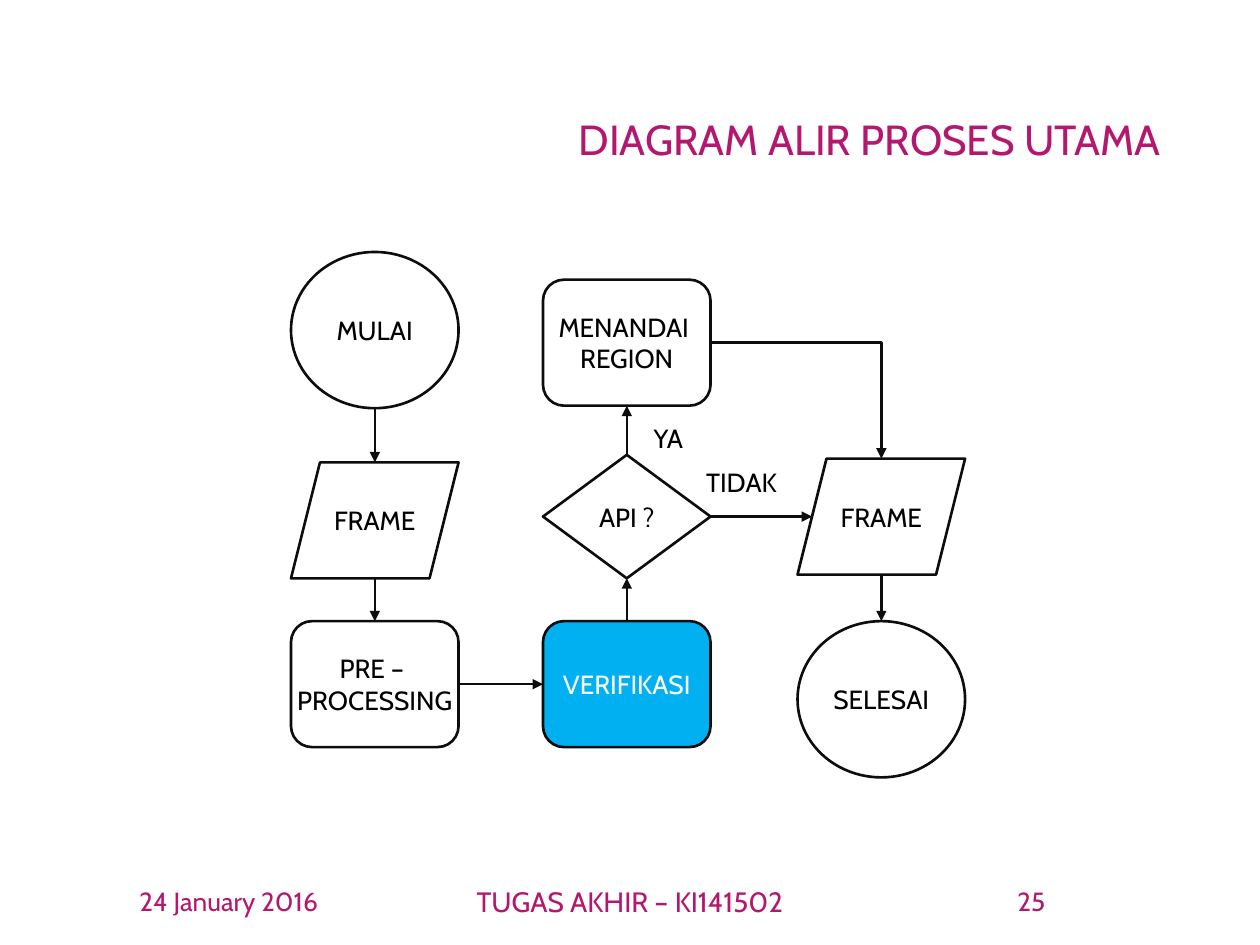
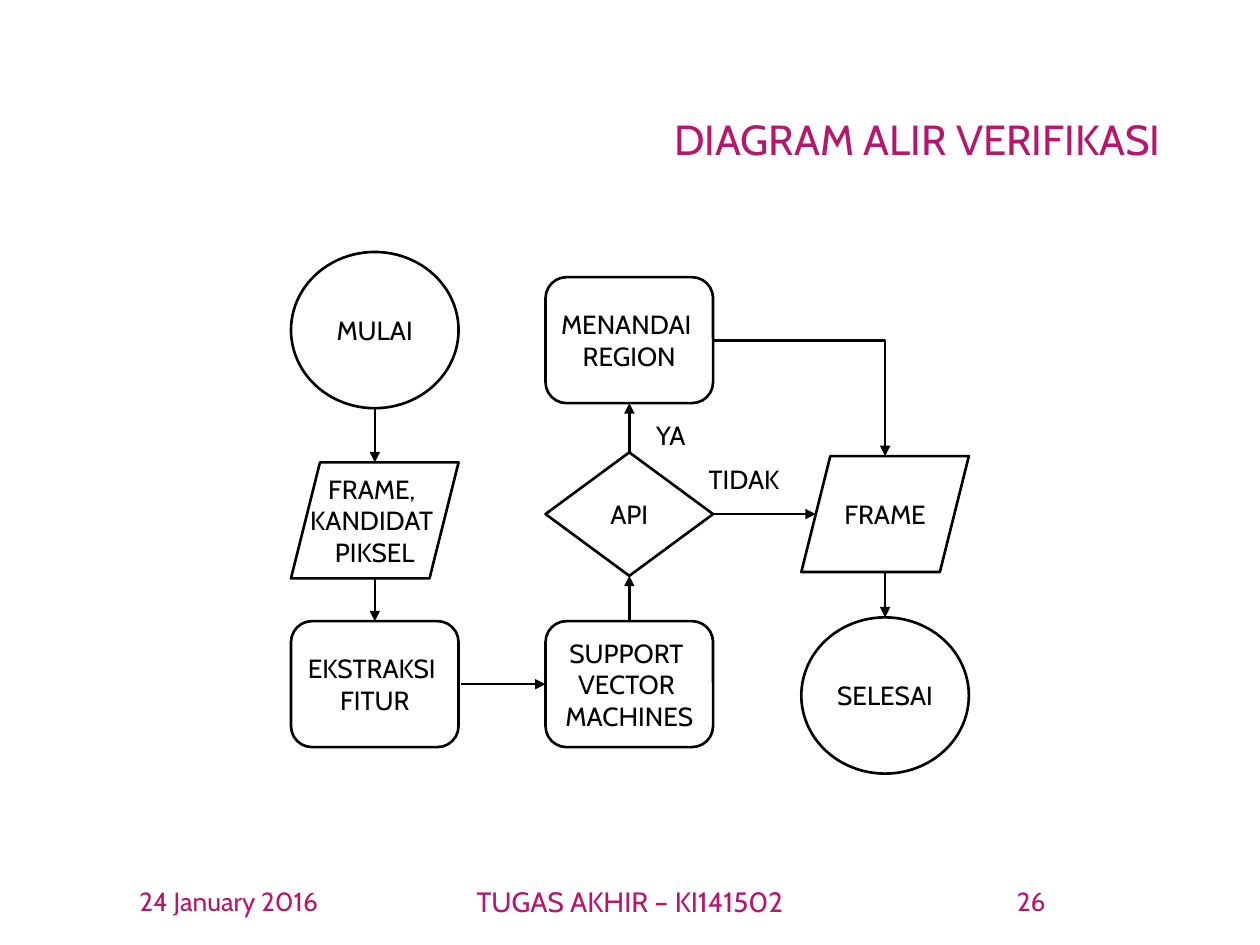
from lxml.etree import SubElement
from pptx import Presentation
from pptx.dml.color import RGBColor
from pptx.enum.shapes import MSO_CONNECTOR, MSO_SHAPE
from pptx.enum.text import MSO_ANCHOR, MSO_AUTO_SIZE, PP_ALIGN
from pptx.oxml.ns import qn
from pptx.util import Inches, Pt

FONT = "Cabin"
ACCENT = "B4186E"
BLACK = "000000"
WHITE = "FFFFFF"
HIGHLIGHT = "00B0F0"
NODE_WIDTH = 1.33
CIRCLE_HEIGHT = 1.24
DATA_HEIGHT = 0.92
BOX_HEIGHT = 1
DECISION_HEIGHT = 0.98
BOTTOM_ROW = 4.93


def color(hex_string):
    return RGBColor.from_string(hex_string)


class FlowDeck:
    """Draws titled flowchart slides in one shared style."""

    def __init__(self):
        self.presentation = Presentation()
        self.presentation.slide_width = Inches(10)
        self.presentation.slide_height = Inches(7.5)
        self.slide = None
        self.line_color = BLACK

    def add_slide(self, title, number, line_color):
        layout = self.presentation.slide_layouts[5]
        self.slide = self.presentation.slides.add_slide(layout)
        self.line_color = line_color
        placeholder = self.slide.shapes.title
        placeholder.left, placeholder.top = Inches(0.69), Inches(0.4)
        placeholder.width, placeholder.height = Inches(8.62), Inches(1.45)
        self.style_text(placeholder, title, 24, ACCENT, PP_ALIGN.RIGHT)
        placeholder.text_frame.paragraphs[0].line_spacing = 0.9
        for left, width, text, size in (
            (0.69, 2.25, "24 January 2016", 15),
            (3.31, 3.38, "TUGAS AKHIR – KI141502", 16),
            (7.06, 2.25, str(number), 15),
        ):
            self.text(left, 6.95, width, 0.4, text, size, ACCENT, MSO_ANCHOR.MIDDLE)

    def style_text(self, shape, text, size, text_color, alignment=PP_ALIGN.CENTER,
                   anchor=MSO_ANCHOR.MIDDLE, wrap=True):
        frame = shape.text_frame
        frame.text = text
        frame.word_wrap = wrap
        frame.auto_size = MSO_AUTO_SIZE.NONE
        frame.vertical_anchor = anchor
        for paragraph in frame.paragraphs:
            paragraph.alignment = alignment
            paragraph.font.name = FONT
            paragraph.font.size = Pt(size)
            paragraph.font.color.rgb = color(text_color)

    def text(self, left, top, width, height, text, size=15, text_color=BLACK,
             anchor=MSO_ANCHOR.TOP):
        box = self.slide.shapes.add_textbox(
            Inches(left), Inches(top), Inches(width), Inches(height))
        self.style_text(box, text, size, text_color, anchor=anchor)

    def node(self, kind, left, top, height, text, fill=None):
        shape = self.slide.shapes.add_shape(
            kind, Inches(left), Inches(top), Inches(NODE_WIDTH), Inches(height))
        shape.shadow.inherit = False
        if fill:
            shape.fill.solid()
            shape.fill.fore_color.rgb = color(fill)
        else:
            shape.fill.background()
        shape.line.color.rgb = color(self.line_color)
        shape.line.width = Pt(1.5)
        self.style_text(shape, text, 15, WHITE if fill else BLACK, wrap=False)

    def arrow(self, start_x, start_y, end_x, end_y, bent=False):
        kind = MSO_CONNECTOR.ELBOW if bent else MSO_CONNECTOR.STRAIGHT
        connector = self.slide.shapes.add_connector(
            kind, Inches(start_x), Inches(start_y), Inches(end_x), Inches(end_y))
        connector.line.color.rgb = color(self.line_color)
        connector.line.width = Pt(1.5)
        properties = connector._element.spPr
        if bent:
            properties.find(qn("a:prstGeom")).set("prst", "bentConnector2")
        SubElement(properties.find(qn("a:ln")), qn("a:tailEnd"), type="triangle")
        SubElement(properties, qn("a:effectLst"))

    def input_column(self, left, data_text, process_text):
        center = left + NODE_WIDTH / 2
        start_top, data_top = 2, 3.67
        self.node(MSO_SHAPE.OVAL, left, start_top, CIRCLE_HEIGHT, "MULAI")
        self.node(MSO_SHAPE.PARALLELOGRAM, left, data_top, DATA_HEIGHT, data_text)
        self.node(MSO_SHAPE.ROUNDED_RECTANGLE, left, BOTTOM_ROW, BOX_HEIGHT, process_text)
        self.arrow(center, start_top + CIRCLE_HEIGHT, center, data_top)
        self.arrow(center, data_top + DATA_HEIGHT, center, BOTTOM_ROW)

    def decision_column(self, left, mark_top, check_text, question, fill):
        center = left + NODE_WIDTH / 2
        decision_top = mark_top + 1.39
        row_middle = BOTTOM_ROW + BOX_HEIGHT / 2
        self.node(MSO_SHAPE.ROUNDED_RECTANGLE, left, BOTTOM_ROW, BOX_HEIGHT, check_text, fill)
        self.node(MSO_SHAPE.DIAMOND, left, decision_top, DECISION_HEIGHT, question)
        self.node(MSO_SHAPE.ROUNDED_RECTANGLE, left, mark_top, BOX_HEIGHT, "MENANDAI \nREGION")
        self.arrow(left - 0.67, row_middle, left, row_middle)
        self.arrow(center, BOTTOM_ROW, center, decision_top + DECISION_HEIGHT)
        self.arrow(center, decision_top, center, mark_top + BOX_HEIGHT)
        self.text(left + 0.33, mark_top + 1.08, NODE_WIDTH, 0.35, "YA")
        self.text(left + 0.91, mark_top + 1.43, NODE_WIDTH, 0.35, "TIDAK")

    def output_column(self, left, decision_left, mark_top, end_top):
        center = left + NODE_WIDTH / 2
        decision_right = decision_left + NODE_WIDTH
        data_top = mark_top + 1.42
        data_middle = data_top + DATA_HEIGHT / 2
        self.node(MSO_SHAPE.PARALLELOGRAM, left, data_top, DATA_HEIGHT, "FRAME")
        self.node(MSO_SHAPE.OVAL, left, end_top, CIRCLE_HEIGHT, "SELESAI")
        self.arrow(decision_right, mark_top + BOX_HEIGHT / 2, center, data_top, bent=True)
        self.arrow(decision_right, data_middle, left + DATA_HEIGHT / 8, data_middle)
        self.arrow(center, data_top + DATA_HEIGHT, center, end_top)


def main():
    deck = FlowDeck()

    deck.add_slide("DIAGRAM ALIR PROSES UTAMA", 25, "0D0D0D")
    deck.input_column(2.31, "FRAME", "PRE – \nPROCESSING")
    deck.decision_column(4.31, 2.22, "VERIFIKASI", "API ?", HIGHLIGHT)
    deck.output_column(6.33, 4.31, 2.22, 4.93)

    deck.add_slide("DIAGRAM ALIR VERIFIKASI", 26, BLACK)
    deck.input_column(2.31, "FRAME, \nKANDIDAT \nPIKSEL", "EKSTRAKSI \nFITUR")
    deck.decision_column(4.33, 2.2, "SUPPORT \nVECTOR \nMACHINES", "API", None)
    deck.output_column(6.36, 4.33, 2.2, 4.9)

    deck.presentation.save("out.pptx")


if __name__ == "__main__":
    main()
